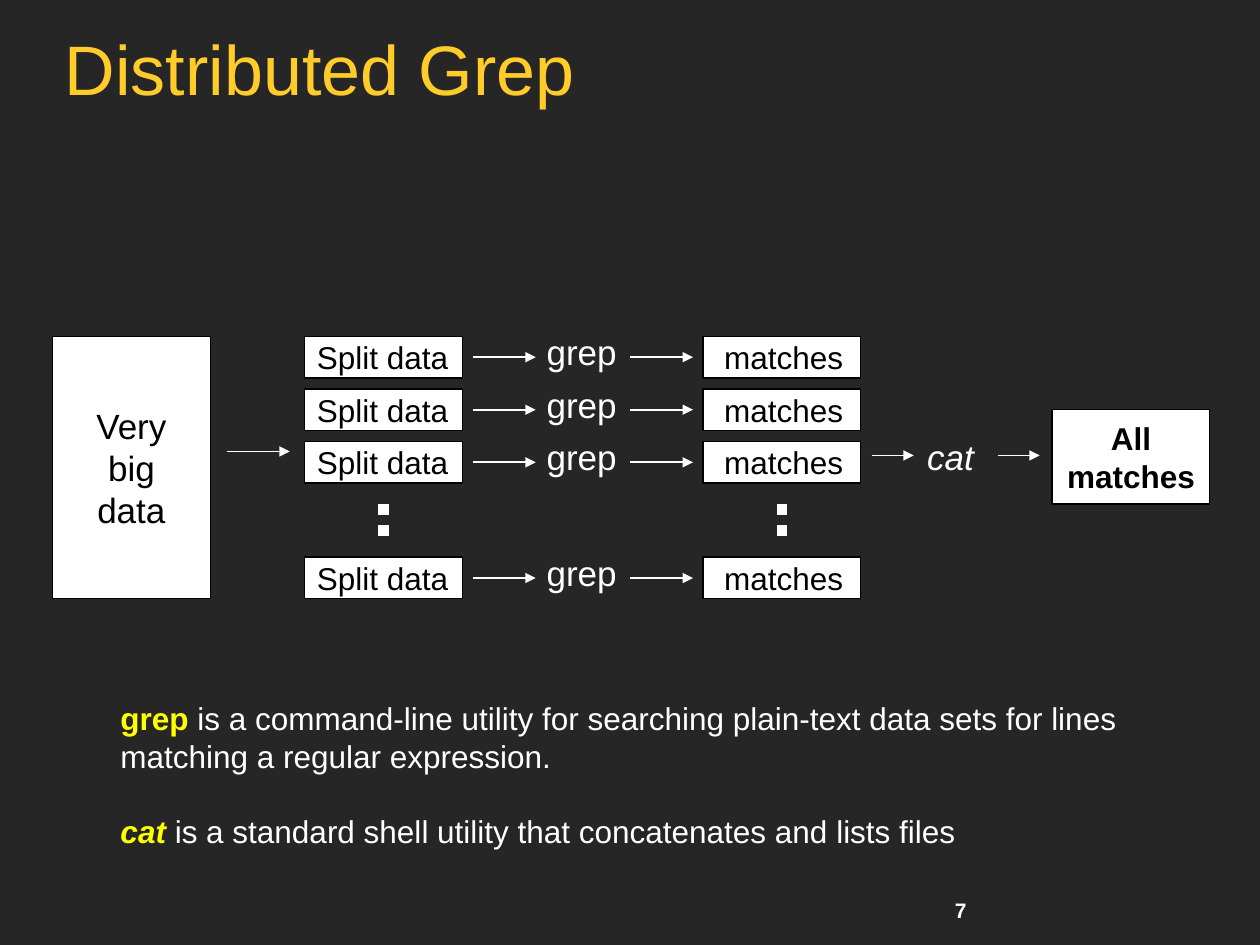
from dataclasses import dataclass

from lxml.etree import SubElement
from pptx import Presentation
from pptx.dml.color import RGBColor
from pptx.enum.dml import MSO_LINE
from pptx.enum.shapes import MSO_CONNECTOR, MSO_SHAPE
from pptx.enum.text import MSO_ANCHOR as Anchor, PP_ALIGN as Align
from pptx.oxml.ns import qn
from pptx.util import Cm, Pt

COLORS = {
    "background": "262626",
    "title": "FFCC29",
    "term": "FFFF00",
    "light": "FFFFFF",
    "dark": "000000",
}
FONT = "Arial"

# Lengths in centimetres
BOX_W, BOX_H = 3.18, 0.84
ROW_TOP, ROW_PITCH = 6.78, 1.06
ROW_STEPS = (0, 1, 2, 4.2)  # the wider gap holds the dots
DATA_X, SPLIT_X, MATCH_X, ALL_X = 1.06, 6.14, 14.17, 21.21


@dataclass
class Area:
    x: float
    y: float
    w: float
    h: float


@dataclass
class Box:
    area: Area
    lines: list[str]
    size: int = 18
    bold: bool = False
    align: Align = Align.CENTER
    left: float = 0


@dataclass
class Line:
    x1: float
    y1: float
    x2: float
    y2: float


def rgb(name: str) -> RGBColor:
    return RGBColor.from_string(COLORS[name])


def add_run(p, text: str, *, size=18, color="light", bold=False, italic=False):
    r = p.add_run()
    r.text = text
    r.font.name, r.font.size = FONT, Pt(size)
    r.font.bold, r.font.italic = bold, italic
    r.font.color.rgb = rgb(color)


def set_frame(tf, *, left=0.25, anchor=Anchor.MIDDLE):
    tf.word_wrap = True
    tf.vertical_anchor = anchor
    tf.margin_left, tf.margin_right = Cm(left), 0
    tf.margin_top = tf.margin_bottom = Cm(0.13)


def add_text(s, area: Area, *, anchor=Anchor.MIDDLE):
    """Add an empty text box and return its text frame."""
    tf = s.shapes.add_textbox(Cm(area.x), Cm(area.y), Cm(area.w), Cm(area.h)).text_frame
    set_frame(tf, anchor=anchor)
    return tf


def add_box(s, box: Box):
    a = box.area
    sp = s.shapes.add_shape(MSO_SHAPE.RECTANGLE, Cm(a.x), Cm(a.y), Cm(a.w), Cm(a.h))
    sp.shadow.inherit = False
    sp.fill.solid()
    sp.fill.fore_color.rgb = rgb("light")
    sp.line.color.rgb = rgb("dark")
    sp.line.width = Pt(0.75)
    tf = sp.text_frame
    set_frame(tf, left=box.left)
    for i, text in enumerate(box.lines):
        p = tf.add_paragraph() if i else tf.paragraphs[0]
        p.alignment = box.align
        add_run(p, text, size=box.size, color="dark", bold=box.bold)


def add_line(s, line: Line, width: float):
    c = s.shapes.add_connector(
        MSO_CONNECTOR.STRAIGHT, Cm(line.x1), Cm(line.y1), Cm(line.x2), Cm(line.y2)
    )
    c.line.color.rgb = rgb("light")
    c.line.width = Pt(width)
    SubElement(c._element.spPr, qn("a:effectLst"))
    return c


def add_arrow(s, x: float, y: float, length: float):
    c = add_line(s, Line(x, y, x + length, y), 1)
    SubElement(c.line._get_or_add_ln(), qn("a:tailEnd"), type="triangle")


def add_dots(s, x: float):
    add_line(s, Line(x, 10.16, x, 10.8), 6).line.dash_style = MSO_LINE.ROUND_DOT


def add_title(s, text: str):
    sp = s.shapes.title
    sp.left, sp.top, sp.width, sp.height = Cm(1.06), Cm(0.56), Cm(23.32), Cm(1.8)
    set_frame(sp.text_frame, anchor=Anchor.BOTTOM)
    p = sp.text_frame.paragraphs[0]
    p.alignment, p.line_spacing = Align.LEFT, 0.9
    add_run(p, text, size=40, color="title")


def add_row(s, top: float):
    """Draw one split, its grep and its matches."""
    mid = top + BOX_H / 2
    for x, label, left in ((SPLIT_X, "Split data", 0.25), (MATCH_X, "matches", 0.43)):
        area = Area(x, top, BOX_W, BOX_H)
        add_box(s, Box(area, [label], align=Align.LEFT, left=left))
    grep = add_text(s, Area(10.77, mid - 0.67, 1.9, 1.12))
    add_run(grep.paragraphs[0], "grep", size=20)
    for x in (9.53, 12.7):
        add_arrow(s, x, mid, 1.27)


def add_notes(s):
    tf = add_text(s, Area(2.18, 13.97, 20.6, 4.06), anchor=Anchor.TOP)
    p = tf.paragraphs[0]
    add_run(p, "grep", color="term", bold=True)
    add_run(p, " is a command-line utility for searching plain-text data sets "
               "for lines matching a regular expression.")
    p = tf.add_paragraph()
    p.space_before = Pt(21)
    add_run(p, "cat ", color="term", bold=True, italic=True)
    add_run(p, "is a standard shell utility that concatenates and lists files")


def main():
    prs = Presentation()
    prs.slide_width, prs.slide_height = Cm(25.4), Cm(19.05)
    s = prs.slides.add_slide(prs.slide_layouts[5])
    s.background.fill.solid()
    s.background.fill.fore_color.rgb = rgb("background")

    add_title(s, "Distributed Grep")
    add_box(s, Box(Area(DATA_X, ROW_TOP, BOX_W, 5.29), ["Very", "big", "data"], size=20))
    add_arrow(s, 4.57, 9.1, 1.27)
    for step in ROW_STEPS:
        add_row(s, ROW_TOP + step * ROW_PITCH)
    for x in (SPLIT_X, MATCH_X):
        add_dots(s, x + BOX_W / 2)

    cat = add_text(s, Area(18.44, 8.64, 1.45, 1.12))
    add_run(cat.paragraphs[0], "cat", size=20, italic=True)
    for x in (17.57, 20.11):
        add_arrow(s, x, 9.18, 0.85)
    add_box(s, Box(Area(ALL_X, 8.26, BOX_W, 1.9), ["All", "matches"], bold=True))

    add_notes(s)
    number = add_text(s, Area(19, 17.96, 1.45, 0.76))
    add_run(number.paragraphs[0], "7", size=12, bold=True)
    prs.save("out.pptx")


if __name__ == "__main__":
    main()
